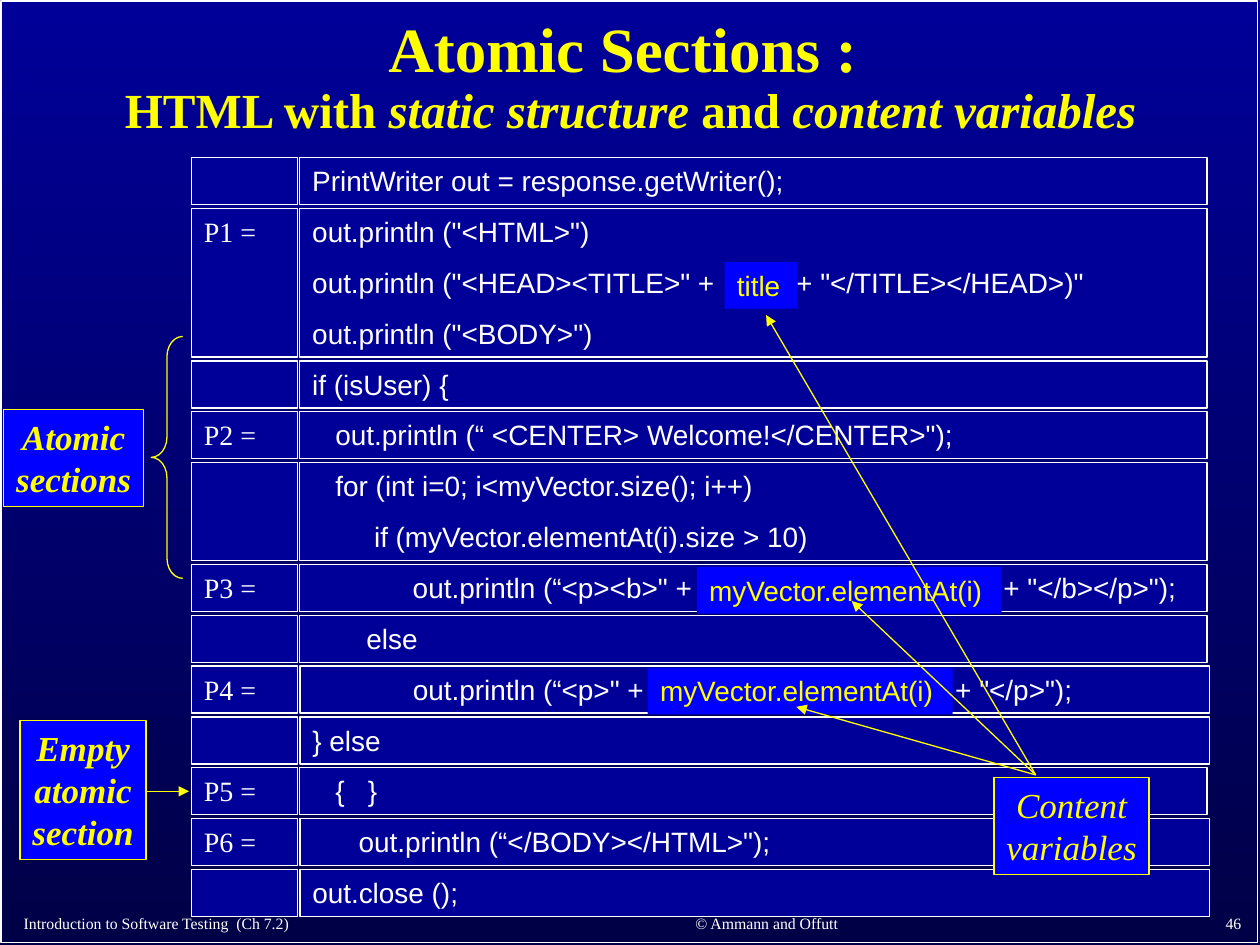
from lxml import etree
from pptx import Presentation
from pptx.dml.color import RGBColor
from pptx.enum import shapes, text
from pptx.oxml.ns import qn
from pptx.util import Inches, Pt

NAVY = RGBColor(0x00, 0x00, 0x99)
DARK = RGBColor(0x00, 0x00, 0x47)
BLUE = RGBColor(0x00, 0x00, 0xFF)
YELLOW = RGBColor(0xFF, 0xFF, 0x00)
WHITE = RGBColor(0xFF, 0xFF, 0xFF)
SERIF, SANS = "Times New Roman", "Arial"
LEFT, CENTER, RIGHT = (text.PP_ALIGN.LEFT, text.PP_ALIGN.CENTER,
                       text.PP_ALIGN.RIGHT)

TOP, LINE_PITCH, GAP = 1.25, 5.65 / 14, 0.03
LABEL_LEFT, LABEL_WIDTH, CODE_LEFT = 1.52, 0.84, 2.38

# Section label, code column width, code lines
ROWS = [
    ("", 7.2, ["PrintWriter out = response.getWriter();"]),
    ("P1 =", 7.2, ['out.println ("<HTML>")',
                   'out.println ("<HEAD><TITLE>" +  title   + "</TITLE></HEAD>)"',
                   'out.println ("<BODY>")']),
    ("", 7.2, ["if (isUser) {"]),
    ("P2 =", 7.2, ['   out.println (“ <CENTER> Welcome!</CENTER>");']),
    ("", 7.2, ["   for (int i=0; i<myVector.size(); i++)",
               "        if (myVector.elementAt(i).size > 10)"]),
    ("P3 =", 7.2, ['             out.println (“<p><b>" +  myVector.elementAt(i)   + "</b></p>");']),
    ("", 7.2, ["       else"]),
    ("P4 =", 7.22, ['             out.println (“<p>" +  myVector.elementAt(i)   + "</p>");']),
    ("", 7.22, ["} else"]),
    ("P5 =", 7.2, ["   {   }"]),
    ("P6 =", 7.22, ['      out.println (“</BODY></HTML>");']),
    ("", 7.22, ["out.close ();"]),
]


def add_run(p, words, size, font, color, bold=False, italic=False):
    r = p.add_run()
    r.text = words
    f = r.font
    f.size, f.name, f.bold, f.italic = Pt(size), font, bold, italic
    f.color.rgb = color


def write(tf, lines, size, font, color, align=LEFT, before=0, right=0.1,
          anchor=text.MSO_ANCHOR.TOP, wrap=True, **style):
    tf.word_wrap = wrap
    tf.vertical_anchor = anchor
    tf.margin_left, tf.margin_right = Inches(0.1), Inches(right)
    tf.margin_top = tf.margin_bottom = Inches(0.05)
    for i, line in enumerate(lines):
        p = tf.add_paragraph() if i else tf.paragraphs[0]
        p.alignment = align
        if i and before:
            p.space_before = Pt(before)
        add_run(p, line, size, font, color, **style)


def add_box(s, box, fill=None, line=None, width=0.75,
            kind=shapes.MSO_SHAPE.RECTANGLE):
    sp = s.shapes.add_shape(kind, *map(Inches, box))
    sp.shadow.inherit = False
    if fill is None:
        sp.fill.background()
    else:
        sp.fill.solid()
        sp.fill.fore_color.rgb = fill
    if line is None:
        sp.line.fill.background()
    else:
        sp.line.color.rgb = line
        sp.line.width = Pt(width)
    return sp


def add_callout(s, box, lines, bold=True):
    sp = add_box(s, box, BLUE, YELLOW)
    write(sp.text_frame, lines, 20, SERIF, YELLOW, CENTER, wrap=False,
          bold=bold, italic=True)


def add_arrow(s, start, end):
    cn = s.shapes.add_connector(shapes.MSO_CONNECTOR.STRAIGHT,
                                *map(Inches, start + end))
    cn.line.color.rgb = YELLOW
    cn.line.width = Pt(0.75)
    ln = cn.line._get_or_add_ln()
    etree.SubElement(ln, qn("a:tailEnd"), type="triangle")
    etree.SubElement(cn._element.spPr, qn("a:effectLst"))


def add_title(s):
    title = s.shapes.title
    title.left, title.top = Inches(0.17), Inches(0.25)
    title.width, title.height = Inches(9.67), Inches(0.75)
    tf = title.text_frame
    tf.auto_size = text.MSO_AUTO_SIZE.NONE
    write(tf, ["Atomic Sections : "], 36, SERIF, YELLOW, CENTER,
          anchor=text.MSO_ANCHOR.MIDDLE, bold=True)
    p = tf.paragraphs[0]
    p.line_spacing = 0.9
    p.add_line_break()
    for words, italic in [("HTML with ", False), ("static structure", True),
                          (" and ", False), ("content variables", True)]:
        add_run(p, words, 28, SERIF, YELLOW, True, italic)


def add_code_rows(s):
    top = TOP
    for label, width, lines in ROWS:
        height = LINE_PITCH * len(lines) - GAP
        code = add_box(s, (CODE_LEFT, top, width, height), NAVY, WHITE)
        write(code.text_frame, lines, 16, SANS, WHITE, before=10, right=0)
        sp = add_box(s, (LABEL_LEFT, top, LABEL_WIDTH, height), NAVY, WHITE)
        if label:
            write(sp.text_frame, [label], 16, SERIF, WHITE)
        top += LINE_PITCH * len(lines)


def add_footer(s, box, words, align):
    tb = s.shapes.add_textbox(*map(Inches, box))
    write(tb.text_frame, [words], 9, SERIF, WHITE, align,
          anchor=text.MSO_ANCHOR.BOTTOM)


def main():
    prs = Presentation()
    prs.slide_width, prs.slide_height = Inches(10), Inches(7.5)
    s = prs.slides.add_slide(prs.slide_layouts[5])

    # Background and frame
    bg = s.background.fill
    bg.gradient()
    bg.gradient_angle = 270
    for stop, color in zip(bg.gradient_stops, (NAVY, DARK)):
        stop.color.rgb = color
    add_box(s, (0.01, 0.01, 9.97, 7.47), line=WHITE, width=1)

    add_title(s)
    add_code_rows(s)

    # Footer
    add_footer(s, (0.09, 7.15, 4.24, 0.3),
               "Introduction to Software Testing  (Ch 7.2)", LEFT)
    add_footer(s, (4.5, 7.14, 3.17, 0.31), "© Ammann and Offutt", CENTER)
    add_footer(s, (7.87, 7.13, 2.08, 0.32), "46", RIGHT)

    # Notes on the left
    add_callout(s, (0.16, 5.72, 1, 1.1), ["Empty", "atomic", "section"])
    add_arrow(s, (1.17, 6.28), (1.5, 6.28))
    add_callout(s, (0.03, 3.25, 1.11, 0.77), ["Atomic", "sections"])
    brace = add_box(s, (1.2, 2.67, 0.25, 1.92), line=YELLOW,
                    kind=shapes.MSO_SHAPE.LEFT_BRACE)
    brace.adjustments[0] = 0.64

    # Highlighted content variables and their arrows
    for box, name in [((5.75, 2.08, 0.58, 0.37), "title"),
                      ((5.53, 4.5, 2.42, 0.37), "myVector.elementAt(i)"),
                      ((5.14, 5.3, 2.42, 0.37), "myVector.elementAt(i)")]:
        chip = add_box(s, box, BLUE)
        write(chip.text_frame, [name], 16, SANS, YELLOW)
    add_callout(s, (7.89, 6.17, 1.23, 0.77), ["Content", "variables"],
                bold=False)
    for tip in [(6.08, 2.5), (6.76, 4.77), (6.32, 5.61)]:
        add_arrow(s, (8.22, 6.15), tip)

    prs.save("out.pptx")


if __name__ == "__main__":
    main()
